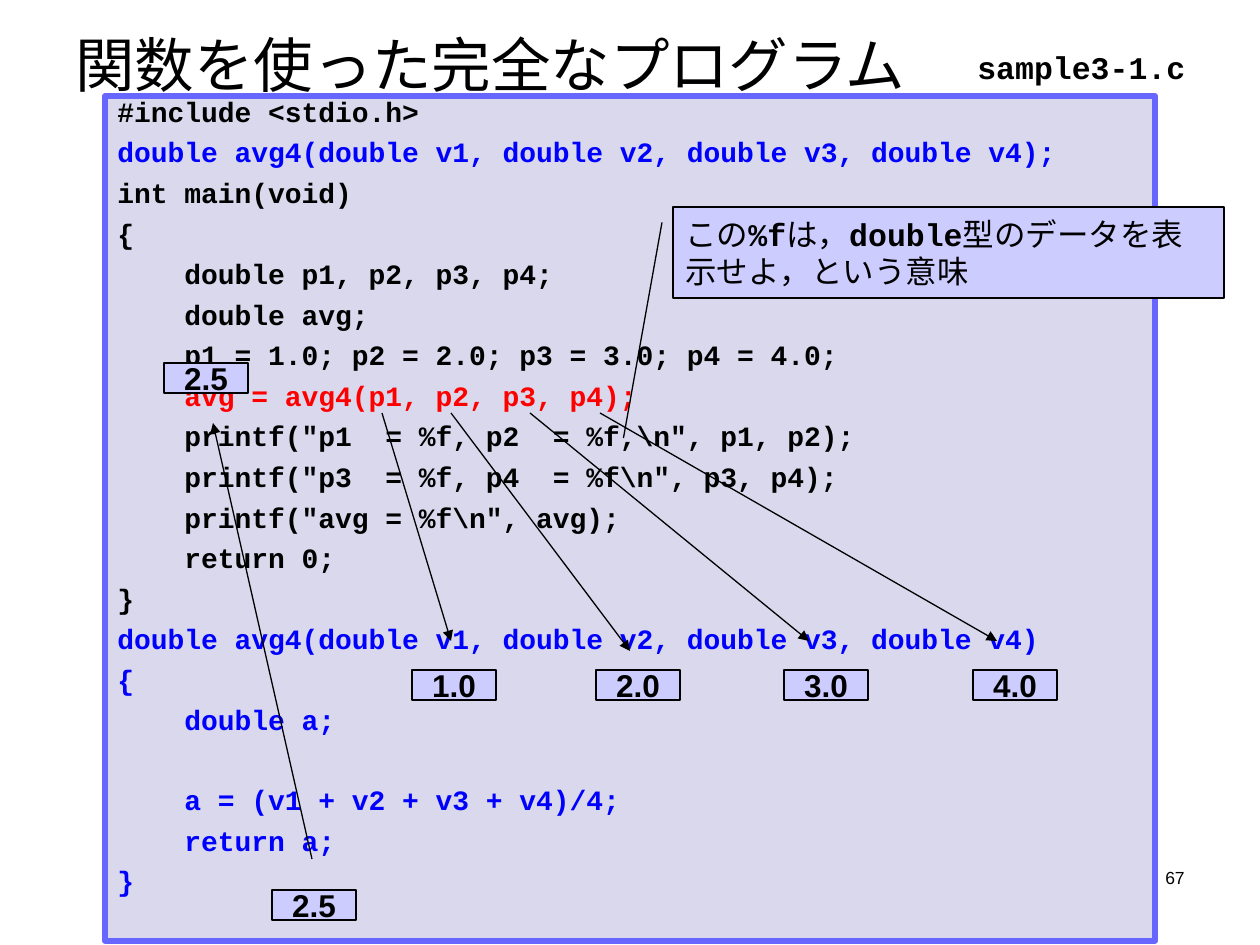
import pptx
import pptx.util
import pptx.dml.color
import pptx.enum.shapes
import pptx.enum.text
import pptx.oxml.ns
import lxml.etree

PX = 914400 / 126
COLORS = {
    "black": "000000",
    "blue": "0000FF",
    "red": "FF0000",
    "panel": "D9D8EC",
    "panel_edge": "6767FF",
    "box": "CCCCFF",
}
SHAPES = pptx.enum.shapes.MSO_SHAPE
ALIGN = pptx.enum.text.PP_ALIGN
ANCHOR = pptx.enum.text.MSO_ANCHOR
SANS, MONO = "Arial", "Courier New"
INDENT = "    "

MAIN_CODE = [
    [("#include <stdio.h>", "black")],
    [("double avg4(double v1, double v2, double v3, double v4);", "blue")],
    [("int main(void)", "black")],
    [("{", "black")],
    [(INDENT + "double p1, p2, p3, p4;", "black")],
    [(INDENT + "double avg;", "black")],
    [(INDENT + "p1 = 1.0; p2 = 2.0; p3 = 3.0; p4 = 4.0;", "black")],
    [(INDENT, "black"), ("avg = avg4(p1, p2, p3, p4);", "red")],
    [(INDENT + r'printf("p1  = %f, p2  = %f,\n", p1, p2);', "black")],
    [(INDENT + r'printf("p3  = %f, p4  = %f\n", p3, p4);', "black")],
    [(INDENT + r'printf("avg = %f\n", avg);', "black")],
    [(INDENT + "return 0;", "black")],
    [("}", "black")],
]
DECLARATIONS = [
    "double avg4(double v1, double v2, double v3, double v4)",
    "{",
    INDENT + "double a;",
]
CALCULATION = [
    INDENT + "a = (v1 + v2 + v3 + v4)/4;",
    INDENT + "return a;",
    "}",
]


def px(*lengths):
    return [pptx.util.Emu(round(n * PX)) for n in lengths]


def rgb(name):
    return pptx.dml.color.RGBColor.from_string(COLORS[name])


def add_run(p, text, size, font, color="black", bold=False):
    r = p.add_run()
    r.text = text
    r.font.size = pptx.util.Pt(size)
    r.font.name = font
    r.font.bold = bold
    r.font.color.rgb = rgb(color)


def add_label(s, box, text, size, font, bold=False, align=ALIGN.LEFT, anchor=ANCHOR.TOP):
    tf = s.shapes.add_textbox(*px(*box)).text_frame
    tf.word_wrap = True
    tf.vertical_anchor = anchor
    p = tf.paragraphs[0]
    p.alignment = align
    add_run(p, text, size, font, bold=bold)


def add_box(s, kind, box, fill="box", edge="black", width=0.75, anchor=ANCHOR.MIDDLE):
    sp = s.shapes.add_shape(kind, *px(*box))
    sp.shadow.inherit = False
    sp.fill.solid()
    sp.fill.fore_color.rgb = rgb(fill)
    sp.line.color.rgb = rgb(edge)
    sp.line.width = pptx.util.Pt(width)
    sp.text_frame.word_wrap = True
    sp.text_frame.vertical_anchor = anchor
    return sp


def add_value(s, left, top, text):
    tf = add_box(s, SHAPES.RECTANGLE, (left, top, 84, 30)).text_frame
    tf.word_wrap = False
    p = tf.paragraphs[0]
    p.alignment = ALIGN.CENTER
    add_run(p, text, 18, SANS, bold=True)


def add_arrow(s, start, end):
    line = s.shapes.add_connector(
        pptx.enum.shapes.MSO_CONNECTOR.STRAIGHT, *px(*start, *end))
    line.line.color.rgb = rgb("black")
    line.line.width = pptx.util.Pt(0.75)
    qn = pptx.oxml.ns.qn
    lxml.etree.SubElement(line.line._get_or_add_ln(), qn("a:tailEnd"), type="triangle")
    lxml.etree.SubElement(line._element.spPr, qn("a:effectLst"))


def add_code(s):
    sp = add_box(s, SHAPES.RECTANGLE, (105, 96, 1050, 845),
                 "panel", "panel_edge", 3, ANCHOR.TOP)
    tf = sp.text_frame
    function_code = [[(text, "blue")] for text in DECLARATIONS + CALCULATION]
    calculation_start = len(MAIN_CODE) + len(DECLARATIONS)
    for i, runs in enumerate(MAIN_CODE + function_code):
        p = tf.add_paragraph() if i else tf.paragraphs[0]
        p.alignment = ALIGN.LEFT
        p.line_spacing = 0.75
        gap = 31.2 if i == calculation_start else 8.8
        p.space_before = pptx.util.Pt(gap if i else 0)
        for text, color in runs:
            add_run(p, text, 16, MONO, color, True)


def add_callout(s):
    sp = add_box(s, SHAPES.LINE_CALLOUT_1, (673, 207, 551, 91))
    for i, value in enumerate((0.17, -0.02, 2.54, -0.09)):
        sp.adjustments[i] = value
    p = sp.text_frame.paragraphs[0]
    p.alignment = ALIGN.LEFT
    for text, bold in (("この", False), ("%f", True), ("は，", False), ("double", True),
                       ("型のデータを表示せよ，という意味", False)):
        add_run(p, text, 18, MONO, bold=bold)


def main():
    prs = pptx.Presentation()
    prs.slide_width, prs.slide_height = px(1260, 945)
    s = prs.slides.add_slide(prs.slide_layouts[6])

    add_label(s, (903, 861, 294, 63), "67", 10, SANS, align=ALIGN.RIGHT)
    add_code(s)
    add_label(s, (63, 38, 1134, 52), "関数を使った完全なプログラム", 34, SANS,
              anchor=ANCHOR.MIDDLE)

    for start, end in (((382, 413), (451, 641)), ((451, 413), (630, 651)),
                       ((530, 413), (809, 641)), ((600, 413), (997, 641)),
                       ((312, 859), (213, 423))):
        add_arrow(s, start, end)

    for left, top, text in ((412, 670, "1.0"), (596, 670, "2.0"),
                            (784, 670, "3.0"), (973, 670, "4.0"),
                            (272, 890, "2.5"), (164, 363, "2.5")):
        add_value(s, left, top, text)

    add_callout(s)
    add_label(s, (965, 42, 239, 50), "sample3-1.c", 18, MONO, bold=True)
    prs.save("out.pptx")


if __name__ == "__main__":
    main()
